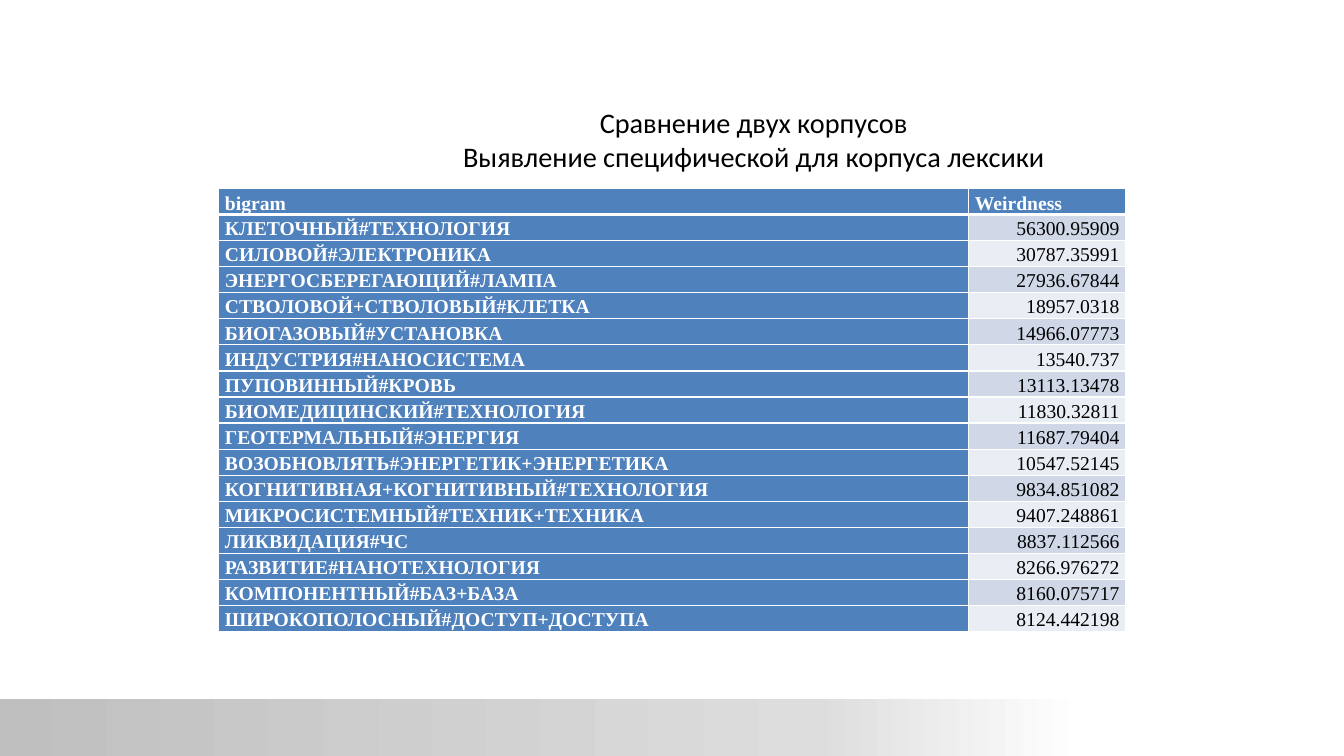
from copy import deepcopy

from lxml import etree
from pptx import Presentation
from pptx.dml.color import RGBColor
from pptx.enum import shapes, text
from pptx.oxml import ns
from pptx.util import Pt

COLORS = {
    "band_start": "BFBFBF",
    "band_middle": "DDDDDD",
    "white": "FFFFFF",
    "black": "000000",
    "label": "4F81BD",
    "odd_row": "D0D8E8",
    "even_row": "E9EDF4",
}
TITLE_LINES = ["Сравнение двух корпусов", "Выявление специфической для корпуса лексики"]
HEADER = ("bigram", "Weirdness")
BIGRAMS = [
    ("КЛЕТОЧНЫЙ#ТЕХНОЛОГИЯ", "56300.95909"),
    ("СИЛОВОЙ#ЭЛЕКТРОНИКА", "30787.35991"),
    ("ЭНЕРГОСБЕРЕГАЮЩИЙ#ЛАМПА", "27936.67844"),
    ("СТВОЛОВОЙ+СТВОЛОВЫЙ#КЛЕТКА", "18957.0318"),
    ("БИОГАЗОВЫЙ#УСТАНОВКА", "14966.07773"),
    ("ИНДУСТРИЯ#НАНОСИСТЕМА", "13540.737"),
    ("ПУПОВИННЫЙ#КРОВЬ", "13113.13478"),
    ("БИОМЕДИЦИНСКИЙ#ТЕХНОЛОГИЯ", "11830.32811"),
    ("ГЕОТЕРМАЛЬНЫЙ#ЭНЕРГИЯ", "11687.79404"),
    ("ВОЗОБНОВЛЯТЬ#ЭНЕРГЕТИК+ЭНЕРГЕТИКА", "10547.52145"),
    ("КОГНИТИВНАЯ+КОГНИТИВНЫЙ#ТЕХНОЛОГИЯ", "9834.851082"),
    ("МИКРОСИСТЕМНЫЙ#ТЕХНИК+ТЕХНИКА", "9407.248861"),
    ("ЛИКВИДАЦИЯ#ЧС", "8837.112566"),
    ("РАЗВИТИЕ#НАНОТЕХНОЛОГИЯ", "8266.976272"),
    ("КОМПОНЕНТНЫЙ#БАЗ+БАЗА", "8160.075717"),
    ("ШИРОКОПОЛОСНЫЙ#ДОСТУП+ДОСТУПА", "8124.442198"),
]


def rgb(color):
    return RGBColor.from_string(COLORS[color])


def apply_format(target, values):
    for name, value in values.items():
        setattr(target, name, value)


def format_font(font, color, values):
    apply_format(font, values)
    font.color.rgb = rgb(color)


def add_footer_band(slide, box):
    band = slide.shapes.add_shape(shapes.MSO_SHAPE.RECTANGLE, *map(Pt, box))
    band.shadow.inherit = False
    band.line.fill.background()
    band.fill.gradient()
    band.fill.gradient_angle = 0
    stop_list = band._element.spPr.find(".//" + ns.qn("a:gsLst"))
    stop_list.append(deepcopy(stop_list[-1]))
    stops = [("band_start", 0), ("band_middle", 0.75), ("white", 1)]
    for stop, (color, position) in zip(band.fill.gradient_stops, stops):
        stop.position = position
        stop.color.rgb = rgb(color)


def place_title(slide, box):
    title = slide.shapes.title
    apply_format(title, dict(zip(("left", "top", "width", "height"), map(Pt, box))))
    apply_format(title.text_frame, {
        "word_wrap": True,
        "auto_size": text.MSO_AUTO_SIZE.NONE,
        "vertical_anchor": text.MSO_ANCHOR.MIDDLE,
    })
    heading = title.text_frame.paragraphs[0]
    heading.alignment = text.PP_ALIGN.CENTER
    for index, line in enumerate(TITLE_LINES):
        if index:
            heading.add_line_break()
        run = heading.add_run()
        run.text = line
        format_font(run.font, "black", {"name": "Calibri", "size": Pt(20.2)})


def add_borders(cell, top, bottom):
    properties = cell._tc.get_or_add_tcPr()
    sides = {"L": 1, "R": 1, "T": top, "B": bottom}
    for index, (side, width) in enumerate(sides.items()):
        border = etree.Element(ns.qn(f"a:ln{side}"), w=str(Pt(width)))
        fill = etree.SubElement(border, ns.qn("a:solidFill"))
        etree.SubElement(fill, ns.qn("a:srgbClr"), val=COLORS["white"])
        properties.insert(index, border)


def fill_cell(cell, wording, row, column):
    is_value = row > 0 and column == 1
    value_fill = "odd_row" if row % 2 else "even_row"
    apply_format(cell, {
        "text": wording,
        "margin_left": Pt(4.5),
        "margin_right": Pt(4.5),
        "margin_top": 0,
        "margin_bottom": 0,
        "vertical_anchor": text.MSO_ANCHOR.MIDDLE if row else text.MSO_ANCHOR.BOTTOM,
    })
    cell.fill.solid()
    cell.fill.fore_color.rgb = rgb(value_fill if is_value else "label")
    paragraph = cell.text_frame.paragraphs[0]
    apply_format(paragraph, {
        "line_spacing": 1.15,
        "alignment": text.PP_ALIGN.RIGHT if is_value else text.PP_ALIGN.LEFT,
    })
    format_font(paragraph.runs[0].font, "black" if is_value else "white",
                {"name": "Times New Roman", "size": Pt(14), "bold": not is_value})
    add_borders(cell, top=3 if row == 1 else 1, bottom=1 if row else 3)


def add_bigram_table(slide, box):
    records = [HEADER, *BIGRAMS]
    left, top, width, height = box
    table = slide.shapes.add_table(len(records), len(HEADER), *map(Pt, box)).table
    value_width = 112.3
    for column, column_width in zip(table.columns, (width - value_width, value_width)):
        column.width = Pt(column_width)
    for row, record in enumerate(records):
        table.rows[row].height = Pt(height / len(records))
        for column, wording in enumerate(record):
            fill_cell(table.cell(row, column), wording, row, column)


def main():
    presentation = Presentation()
    presentation.slide_width, presentation.slide_height = Pt(960), Pt(540)
    slide = presentation.slides.add_slide(presentation.slide_layouts[5])
    add_footer_band(slide, (-2.2, 499, 776.9, 41.8))
    place_title(slide, (236.2, 65.5, 604.1, 67.7))
    add_bigram_table(slide, (156.2, 134.6, 648, 316.8))
    presentation.save("out.pptx")


if __name__ == "__main__":
    main()
